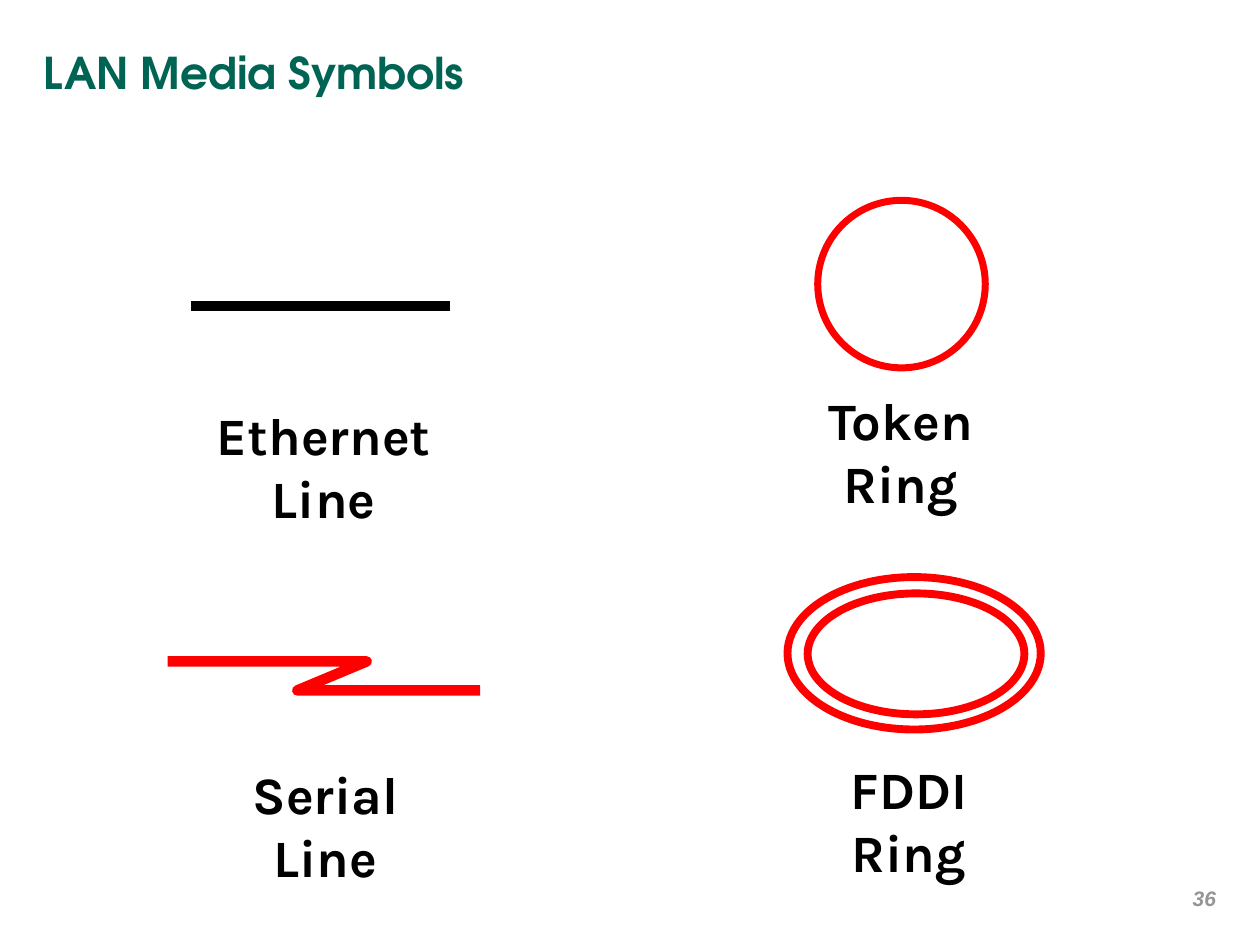
from dataclasses import dataclass

from lxml import etree
from pptx import Presentation, util as u
from pptx.dml import color
from pptx.enum import shapes, text


@dataclass
class Theme:
    """Colours and type styles of the deck."""
    ink: str = "000000"
    red: str = "FF0000"
    head: tuple = ("006454", dict(name="TeX Gyre Adventor", size=u.Pt(25), bold=True))
    label: tuple = ("000000", dict(name="Karla", size=u.Pt(30), bold=True))
    foot: tuple = ("959595", dict(name="Arial", size=u.Pt(12), bold=True, italic=True))


class Deck:
    """Draws on one slide with a grid of 100 columns by 75 rows."""

    def __init__(self, theme):
        """Open a blank slide and work out the grid."""
        self.theme = theme
        self.prs = Presentation()
        self.prs.slide_width, self.prs.slide_height = u.Inches(10), u.Inches(7.5)
        self.col, self.row = self.prs.slide_width / 100, self.prs.slide_height / 75
        self.slide = self.prs.slides.add_slide(self.prs.slide_layouts[6])

    def grid(self, *vals):
        """Turn column and row pairs into lengths."""
        return [round(v * (self.row if i % 2 else self.col)) for i, v in enumerate(vals)]

    def words(self, box, lines, style, align, anchor=text.MSO_ANCHOR.TOP, wrap=True):
        """Place a text box with one paragraph per line."""
        frame = self.slide.shapes.add_textbox(*self.grid(*box)).text_frame
        frame.word_wrap, frame.vertical_anchor = wrap, anchor
        frame.text = "\n".join(lines)
        tint, form = style
        for para in frame.paragraphs:
            para.alignment = align
            for run in para.runs:
                run.font.color.rgb = color.RGBColor.from_string(tint)
                for key, val in form.items():
                    setattr(run.font, key, val)

    def label(self, box, *lines):
        """Centre a symbol's name in its box."""
        self.words(box, lines, self.theme.label, text.PP_ALIGN.CENTER, wrap=False)

    def stroke(self, shape, tint, width):
        """Set the outline of a shape or connector."""
        shape.line.color.rgb = color.RGBColor.from_string(tint)
        shape.line.width = u.Pt(width)

    def rings(self, width, *boxes):
        """Draw hollow ellipses, grouped when there are several."""
        home = self.slide.shapes
        if len(boxes) > 1:
            home = home.add_group_shape().shapes
        for box in boxes:
            ring = home.add_shape(shapes.MSO_SHAPE.OVAL, *self.grid(*box))
            ring.shadow.inherit = False
            ring.fill.background()
            self.stroke(ring, self.theme.red, width)

    def line(self, ends, width):
        """Draw a straight line."""
        link = self.slide.shapes.add_connector(
            shapes.MSO_CONNECTOR.STRAIGHT, *self.grid(*ends))
        self.stroke(link, self.theme.ink, width)
        props = link.element.spPr
        etree.SubElement(props, props.ln.tag.replace("}ln", "}effectLst"))

    def bolt(self, points, width):
        """Draw an open path through the points."""
        start, *rest = [self.grid(*point) for point in points]
        route = self.slide.shapes.build_freeform(*start)
        route.add_line_segments(rest, close=False)
        bolt = route.convert_to_shape()
        bolt.shadow.inherit = False
        bolt.fill.background()
        self.stroke(bolt, self.theme.red, width)


def main():
    """Build the slide of LAN symbols."""
    theme = Theme()
    deck = Deck(theme)
    deck.words((2.5, 0, 95, 8.3), ["LAN Media Symbols"], theme.head,
               text.PP_ALIGN.LEFT, text.MSO_ANCHOR.BOTTOM)
    deck.label((64.1, 30.3, 14.8, 11), "Token", "Ring")
    deck.label((66.1, 59.6, 12.1, 11), "FDDI", "Ring")
    deck.label((15.6, 31.5, 20.2, 11), "Ethernet", "Line")
    deck.label((19, 60, 13.7, 11), "Serial", "Line")
    deck.rings(4, (64.9, 15.9, 13.3, 13.3))
    deck.rings(4.5, (62.5, 45.8, 20.1, 12.1), (64.1, 47.1, 17.2, 9.6))
    deck.line((15.2, 24.3, 35.7, 24.3), 6)
    deck.bolt([(13.3, 52.5), (29.1, 52.5), (23.6, 54.8), (38.1, 54.8)], 6)
    deck.words((74.2, 69.8, 23.3, 5.2), ["36"], theme.foot, text.PP_ALIGN.RIGHT)
    deck.prs.save("out.pptx")


if __name__ == "__main__":
    main()
